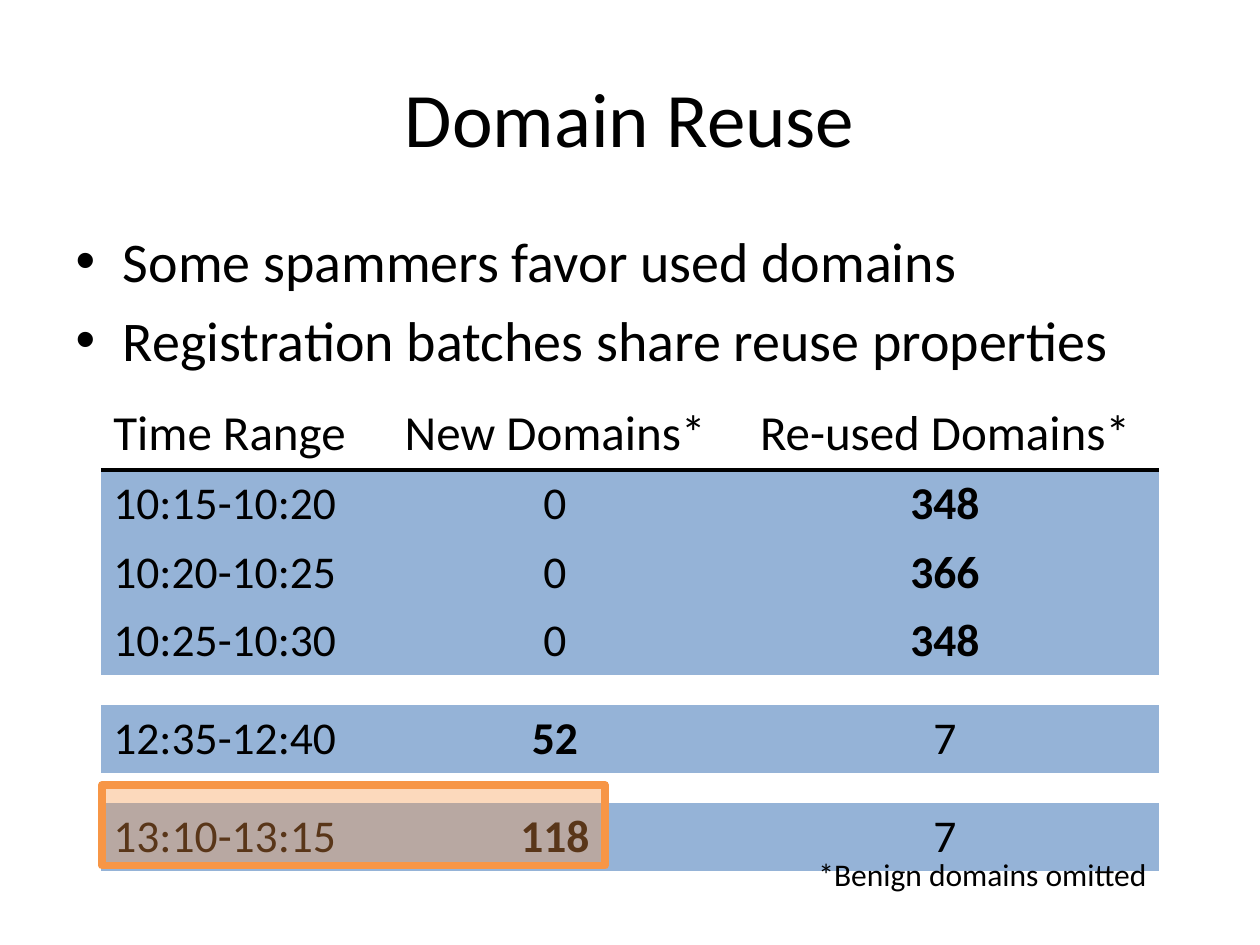
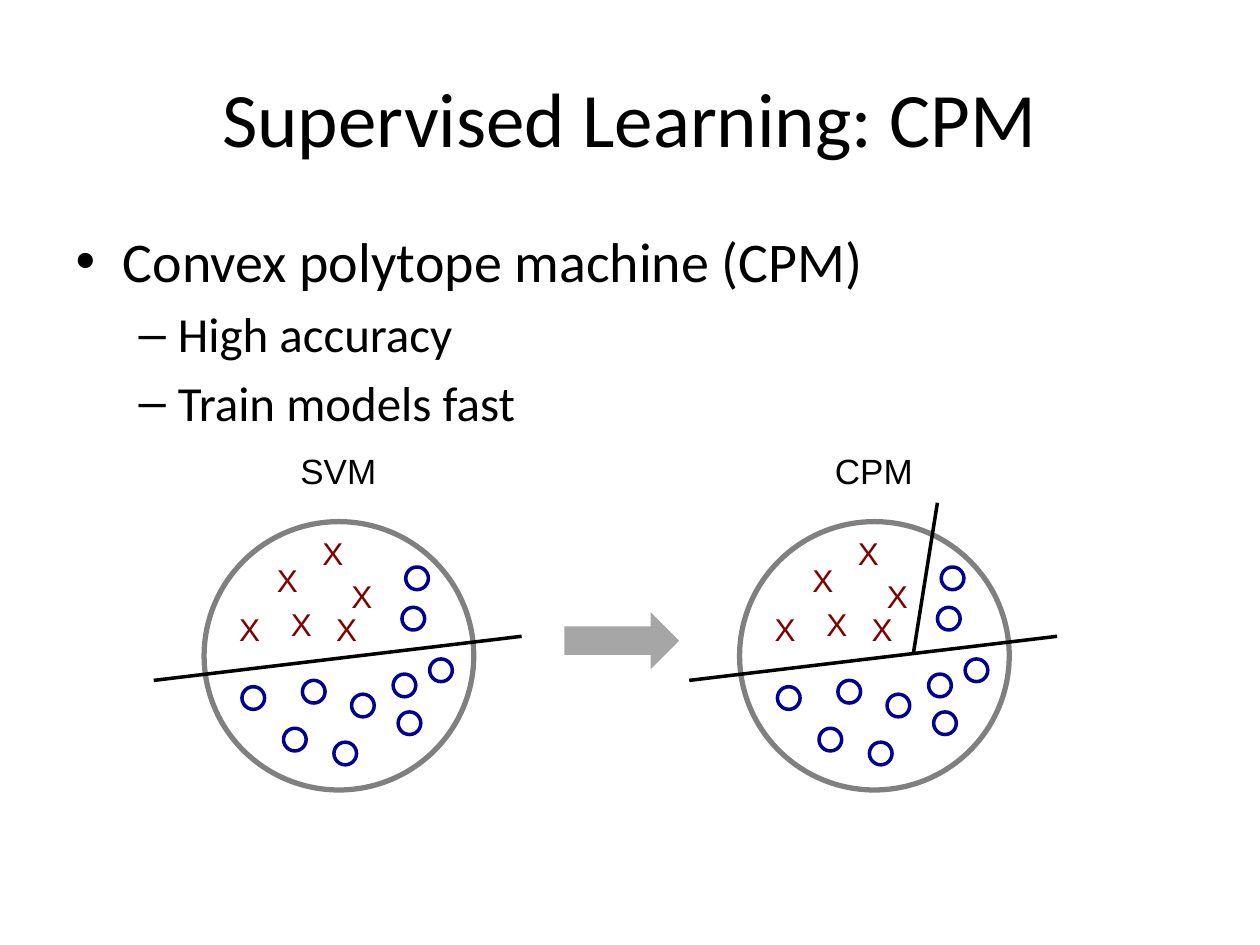
from dataclasses import dataclass
from typing import Any, NamedTuple

from lxml import etree
from pptx import Presentation, oxml, util as u
from pptx.dml import color
from pptx.enum import shapes, text
from pptx.oxml import ns


@dataclass(frozen=True)
class Theme:
    sans: str = "Calibri"
    label: str = "Arial"
    ink: str = "000000"
    band: str = "95B3D7"
    mark: str = "F79646"
    ring: str = "808080"
    cross: str = "800000"
    dot: str = "000090"
    arrow: str = "A6A6A6"
    title: int = 44
    levels: tuple[int, ...] = (32, 28)
    head: int = 28
    cell: int = 26
    gap: int = 8
    name: int = 20
    note: int = 18


class Box(NamedTuple):
    left: float
    top: float
    width: float
    height: float

    def place(self) -> list[int]:
        return [u.Inches(v) for v in self]


class Item(NamedTuple):
    words: str
    level: int = 0


class Span(NamedTuple):
    time: str
    new: int
    used: int


class Point(NamedTuple):
    x: float
    y: float


class Panel(NamedTuple):
    name: str
    left: float
    cuts: tuple[tuple[Point, Point], ...]


THEME = Theme()
ALIGN = text.PP_ALIGN
SHAPE = shapes.MSO_SHAPE
TITLE = Box(0.5, 0.3, 9, 1.25)
BODY = Box(0.5, 1.75, 9, 4.95)
PLAIN = "{2D5ABB26-0587-4C30-8999-92F81FD0307C}"

HEADS = ("Time Range", "New Domains*", "Re-used Domains*")
WIDTHS = (2.21, 2.79, 3.4)
HEAD_H, ROW_H, GAP_H = 0.58, 0.54, 0.22
SPANS: list[Span | None] = [
    Span("10:15-10:20", 0, 348),
    Span("10:20-10:25", 0, 366),
    Span("10:25-10:30", 0, 348),
    None,
    Span("12:35-12:40", 52, 7),
    None,
    Span("13:10-13:15", 118, 7),
]

CROSSES = [Point(*p) for p in (
    (0.59, 4.75), (0.84, 4.19), (0.95, 4.79),
    (0.48, 4.4), (0.18, 4.79), (1.07, 4.53),
)]
DOTS = [Point(*p) for p in (
    (0.3, 5.45), (0.63, 5.78), (0.78, 5.4), (1.5, 5.35),
    (1.54, 5.65), (1.03, 5.89), (1.6, 4.5), (1.57, 4.82),
    (1.17, 5.51), (1.79, 5.23),
)]
BASE = (Point(-0.4, 5.4), Point(2.52, 5.05))
SPLIT = (Point(1.38, 5.18), Point(1.57, 3.99))
PANELS = (Panel("SVM", 1.62, (BASE,)), Panel("CPM", 5.87, (BASE, SPLIT)))


def apply(target: Any, values: dict[str, Any]) -> None:
    for key, value in values.items():
        setattr(target, key, value)


def style(font: Any, size: int, name: str = THEME.sans,
          tint: str = THEME.ink, bold: bool = False) -> None:
    apply(font, {"size": u.Pt(size), "name": name, "bold": bold})
    font.color.rgb = color.RGBColor.from_string(tint)


def paint(fill: Any, tint: str | None) -> None:
    if tint is None:
        fill.background()
    else:
        fill.solid()
        fill.fore_color.rgb = color.RGBColor.from_string(tint)


def stroke(line: Any, tint: str, width: float) -> None:
    paint(line.fill, tint)
    line.width = u.Pt(width)


def draw(slide: Any, kind: Any, box: Box, fill: str | None = None,
         edge: str | None = None, width: float = 1) -> Any:
    shape = slide.shapes.add_shape(kind, *box.place())
    shape.shadow.inherit = False
    paint(shape.fill, fill)
    if edge is None:
        shape.line.fill.background()
    else:
        stroke(shape.line, edge, width)
    return shape


def link(slide: Any, start: Point, end: Point) -> None:
    ends = [u.Inches(v) for v in (*start, *end)]
    line = slide.shapes.add_connector(shapes.MSO_CONNECTOR.STRAIGHT, *ends)
    stroke(line.line, THEME.ink, 2)
    etree.SubElement(line._element.spPr, ns.qn("a:effectLst"))


def write(slide: Any, box: Box, words: str, size: int, name: str,
          tint: str = THEME.ink, align: Any = ALIGN.LEFT,
          wrap: bool = False) -> None:
    frame = slide.shapes.add_textbox(*box.place()).text_frame
    apply(frame, {"word_wrap": wrap,
                  "auto_size": text.MSO_AUTO_SIZE.SHAPE_TO_FIT_TEXT})
    para = frame.paragraphs[0]
    apply(para, {"text": words, "alignment": align})
    style(para.runs[0].font, size, name, tint)


def start(deck: Any, title: str, items: list[Item]) -> Any:
    slide = deck.slides.add_slide(deck.slide_layouts[1])
    head, body = slide.placeholders
    for holder, box in ((head, TITLE), (body, BODY)):
        apply(holder, dict(zip(box._fields, box.place())))
    head.text_frame.text = title
    style(head.text_frame.paragraphs[0].runs[0].font, THEME.title)
    frame = body.text_frame
    frame.text = "\n".join(item.words for item in items)
    frame.paragraphs[0].space_before = u.Pt(0)
    for para, item in zip(frame.paragraphs, items):
        para.level = item.level
        style(para.runs[0].font, THEME.levels[item.level])
    return slide


def fill_cell(cell: Any, words: str, size: int, align: Any,
              bold: bool = False) -> None:
    cell.vertical_anchor = text.MSO_ANCHOR.MIDDLE
    para = cell.text_frame.paragraphs[0]
    apply(para, {"text": words, "alignment": align})
    style(para.runs[0].font, size, bold=bold)


def rule(cell: Any) -> None:
    cell._tc.get_or_add_tcPr().insert(0, oxml.parse_xml(
        f'<a:lnB {ns.nsdecls("a")} w="{u.Pt(3)}"><a:solidFill>'
        f'<a:srgbClr val="{THEME.ink}"/></a:solidFill></a:lnB>'))


def add_grid(slide: Any) -> None:
    tall = [HEAD_H] + [ROW_H if span else GAP_H for span in SPANS]
    box = Box(0.8, 3.15, sum(WIDTHS), sum(tall))
    table = slide.shapes.add_table(
        len(tall), len(WIDTHS), *box.place()).table
    apply(table, {"first_row": False, "horz_banding": False})
    table._tbl.tblPr.find(ns.qn("a:tableStyleId")).text = PLAIN
    for col, width in zip(table.columns, WIDTHS):
        col.width = u.Inches(width)
    for row, height in zip(table.rows, tall):
        row.height = u.Inches(height)
    aligns = (ALIGN.LEFT, ALIGN.CENTER, ALIGN.CENTER)
    for cell, words, align in zip(table.rows[0].cells, HEADS, aligns):
        paint(cell.fill, None)
        fill_cell(cell, words, THEME.head, align)
        rule(cell)
    for row, span in zip(list(table.rows)[1:], SPANS):
        for i, cell in enumerate(row.cells):
            paint(cell.fill, THEME.band if span else None)
            if span:
                bold = i > 0 and span[i] == max(span.new, span.used)
                fill_cell(cell, str(span[i]), THEME.cell, aligns[i], bold)
            else:
                para = cell.text_frame.paragraphs[0]._p
                end = etree.SubElement(para, ns.qn("a:endParaRPr"))
                end.set("sz", str(THEME.gap * 100))


def add_reuse(deck: Any) -> None:
    slide = start(deck, "Domain Reuse", [
        Item("Some spammers favor used domains"),
        Item("Registration batches share reuse properties"),
    ])
    add_grid(slide)
    write(slide, Box(6.36, 6.74, 2.84, 0.4), "*Benign domains omitted",
          THEME.note, THEME.sans, align=ALIGN.RIGHT)
    frame = draw(slide, SHAPE.RECTANGLE, Box(0.81, 6.23, 3.99, 0.64),
                 THEME.mark, THEME.mark, 4.5)
    tint = frame._element.spPr.find(ns.qn("a:solidFill"))[0]
    etree.SubElement(tint, ns.qn("a:alpha")).set("val", "36000")


def add_panel(slide: Any, panel: Panel) -> None:
    left = panel.left
    draw(slide, SHAPE.OVAL, Box(left, 4.14, 2.14, 2.13),
         edge=THEME.ring, width=3)
    for x, y in CROSSES:
        write(slide, Box(left + x, y, 0.37, 0.4), "X",
              THEME.note, THEME.label, THEME.cross)
    for x, y in DOTS:
        draw(slide, SHAPE.OVAL, Box(left + x, y, 0.18, 0.18),
             edge=THEME.dot, width=2)
    for cut in panel.cuts:
        link(slide, *(Point(left + x, y) for x, y in cut))
    write(slide, Box(left + 0.51, 3.52, 1.11, 0.44), panel.name,
          THEME.name, THEME.label, align=ALIGN.CENTER, wrap=True)


def add_model(deck: Any) -> None:
    slide = start(deck, "Supervised Learning: CPM", [
        Item("Convex polytope machine (CPM)"),
        Item("High accuracy", 1),
        Item("Train models fast", 1),
    ])
    for panel in PANELS:
        add_panel(slide, panel)
    draw(slide, SHAPE.RIGHT_ARROW, Box(4.48, 4.86, 0.91, 0.45), THEME.arrow)


def main() -> None:
    deck = Presentation()
    apply(deck, {"slide_width": u.Inches(10), "slide_height": u.Inches(7.5)})
    add_reuse(deck)
    add_model(deck)
    deck.save("out.pptx")


if __name__ == "__main__":
    main()
